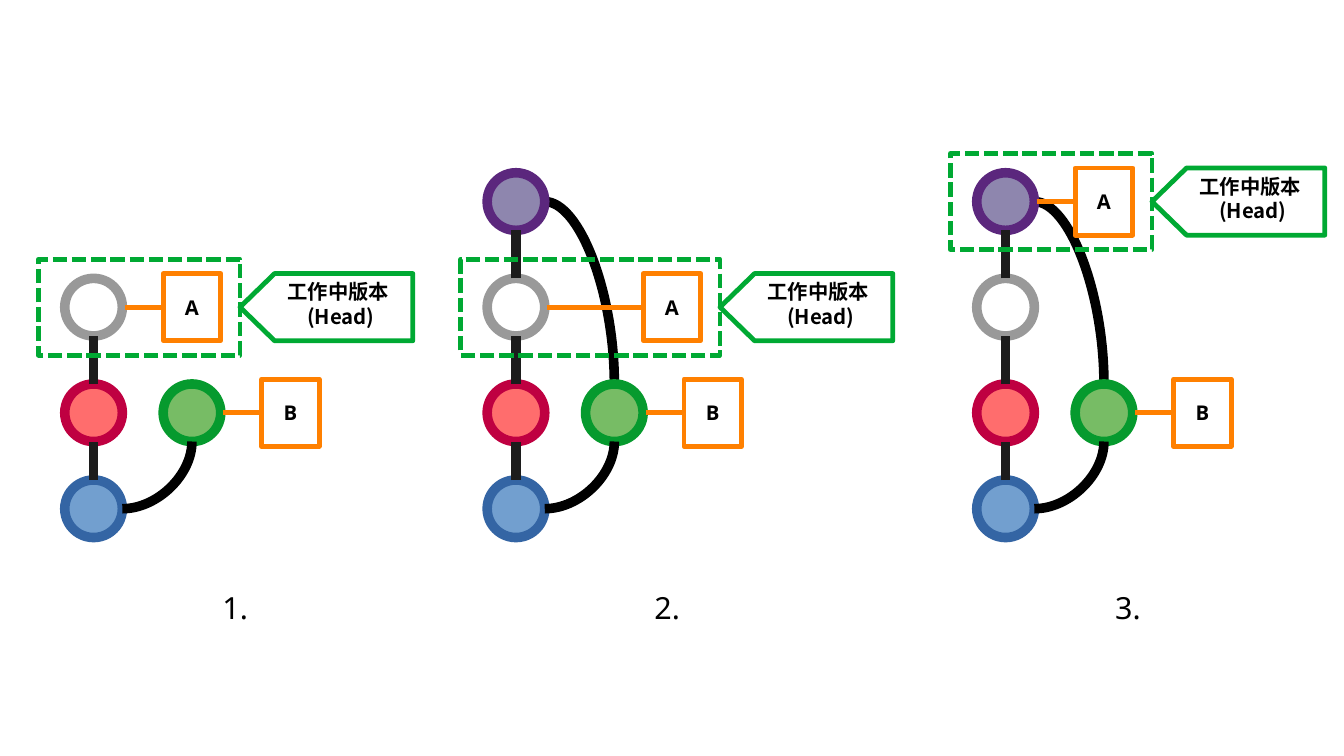
from dataclasses import dataclass

from lxml import etree
from pptx import Presentation
from pptx.dml.color import RGBColor
from pptx.enum.dml import MSO_LINE
from pptx.enum.shapes import MSO_CONNECTOR, MSO_SHAPE
from pptx.enum.text import MSO_ANCHOR, PP_ALIGN
from pptx.oxml.ns import qn
from pptx.util import Cm, Pt

# Each stage: centre of the trunk, trunk nodes from top to bottom,
# node that is the head, gap to tag A, left of the stage number.
STAGES = [
    ("1.", 1.95, ["work", "red", "blue"], "work", 1.45, 3.8),
    ("2.", 10.75, ["merge", "work", "red", "blue"], "work", 2.65, 12.8),
    ("3.", 20.95, ["merge", "work", "red", "blue"], "merge", 1.45, 22.4),
]
HEAD = "工作中版本 \v(Head)"
ROWS = {"merge": 4.2, "work": 6.4, "red": 8.6, "blue": 10.6}
BRANCH = "red"  # the side node shares this row


@dataclass(frozen=True)
class Theme:
    """Colours, fonts and type sizes."""
    nodes = {
        "merge": ("8E86AE", "5B277D"),
        "work": ("FFFFFF", "999999"),
        "red": ("FF6D6D", "BF0041"),
        "blue": ("729FCF", "3465A4"),
        "side": ("77BC65", "069A2E"),
    }
    ink, link, white = "000000", "1C1C1C", "FFFFFF"
    head, tag = "00A933", "FF8000"
    thick, thin = 5.67, 2.83
    font, cjk = "Noto Sans", "Noto Sans CJK TC"
    small, large = 12, 18


T = Theme()
RECT, OVAL = MSO_SHAPE.RECTANGLE, MSO_SHAPE.OVAL
FLAG = MSO_SHAPE.FLOWCHART_OFFPAGE_CONNECTOR
LINE, CURVE = MSO_CONNECTOR.STRAIGHT, MSO_CONNECTOR.CURVE
DASH = MSO_LINE.SQUARE_DOT
CENTER, MIDDLE, TOP = PP_ALIGN.CENTER, MSO_ANCHOR.MIDDLE, MSO_ANCHOR.TOP
RAD, SIDE = 0.6, 2.05  # node radius, shift of the side node
TAG_W, TAG_H, TAG_GAP = 1.2, 1.4, 1.45
PAD_L, PAD_R, FRAME_H = 1.15, 0.4, 2.0
FLAG_W = 3.6

deck = Presentation()
deck.slide_width, deck.slide_height = Cm(28), Cm(15.75)
slide = deck.slides.add_slide(deck.slide_layouts[6])
shapes = slide.shapes


def rgb(code):
    """Turn a hex code into a colour."""
    return RGBColor.from_string(code)


def shape(kind, x, y, w, h, edge, width, fill=None):
    """Add a preset shape centred on x, y."""
    s = shapes.add_shape(kind, Cm(x - w / 2), Cm(y - h / 2), Cm(w), Cm(h))
    s.shadow.inherit = False
    if fill:
        s.fill.solid()
        s.fill.fore_color.rgb = rgb(fill)
    else:
        s.fill.background()
    s.line.color.rgb, s.line.width = rgb(edge), Pt(width)
    etree.SubElement(s.line._get_or_add_ln(), qn("a:round"))
    return s


def line(start, end, color, width, kind=LINE):
    """Join two points with a straight line or a quarter curve."""
    c = shapes.add_connector(kind, *(Cm(v) for v in start + end))
    c.line.color.rgb, c.line.width = rgb(color), Pt(width)
    props = c._element.spPr
    etree.SubElement(props, qn("a:effectLst"))
    if kind == CURVE:
        props.find(qn("a:prstGeom")).set("prst", "curvedConnector2")


def write(box, text, size, font, bold, anchor):
    """Put centred text in a shape."""
    frame = box.text_frame
    frame.text, frame.vertical_anchor = text, anchor
    para = frame.paragraphs[0]
    para.alignment = CENTER
    for run in para.runs:
        f = run.font
        f.size, f.name, f.bold = Pt(size), font, bold
        f.color.rgb = rgb(T.ink)
        ea = etree.SubElement(run._r.get_or_add_rPr(), qn("a:ea"))
        ea.set("typeface", font)


def label(text, x, y, w, h, size, font, bold, anchor):
    """Add a text box by its top left corner."""
    box = shapes.add_textbox(Cm(x), Cm(y), Cm(w), Cm(h))
    box.text_frame.word_wrap = True
    write(box, text, size, font, bold, anchor)


def node(name, x, y):
    """Draw one version as a ring."""
    fill, edge = T.nodes[name]
    shape(OVAL, x, y, 2 * RAD, 2 * RAD, edge, T.thick, fill)


def tag(text, x, y, gap):
    """Draw a branch tag and its lead from the node at x, y."""
    left = x + gap
    box = shape(RECT, left + TAG_W / 2, y, TAG_W, TAG_H, T.tag, T.thin, T.white)
    box.text_frame.word_wrap = False
    write(box, text, T.small, T.font, True, MIDDLE)
    line((x + RAD + 0.05, y), (left, y), T.tag, T.thin)


def head(x, y, gap):
    """Frame the head version and point the flag at it."""
    right = x + gap + TAG_W + PAD_R
    left = x - PAD_L
    frame = shape(RECT, (left + right) / 2, y, right - left, FRAME_H, T.head, T.thin)
    frame.line.dash_style = DASH
    flag = shape(FLAG, right + FLAG_W / 2, y, TAG_H, FLAG_W, T.head, T.thin)
    flag.rotation = 90
    label(HEAD, right + 0.7, y - 0.7, 2.8, 1.5, T.small, T.cjk, True, TOP)


def stage(title, x, trunk, at, gap, num):
    """Draw one stage of the history."""
    side, mid = x + SIDE, ROWS[BRANCH]
    if "merge" in trunk:
        line((x + RAD, ROWS["merge"]), (side, mid - RAD), T.ink, T.thick, CURVE)
    for name in trunk:
        node(name, x, ROWS[name])
    for up, low in zip(trunk, trunk[1:]):
        line((x, ROWS[low] - RAD), (x, ROWS[up] + RAD), T.link, T.thick)
    head(x, ROWS[at], gap)
    tag("A", x, ROWS[at], gap)
    node("side", side, mid)
    line((x + RAD, ROWS["blue"]), (side, mid + RAD), T.ink, T.thick, CURVE)
    tag("B", side, mid, TAG_GAP)
    label(title, num, 12.1, 2.2, 1.1, T.large, T.font, False, MIDDLE)


for row in STAGES:
    stage(*row)
deck.save("out.pptx")
